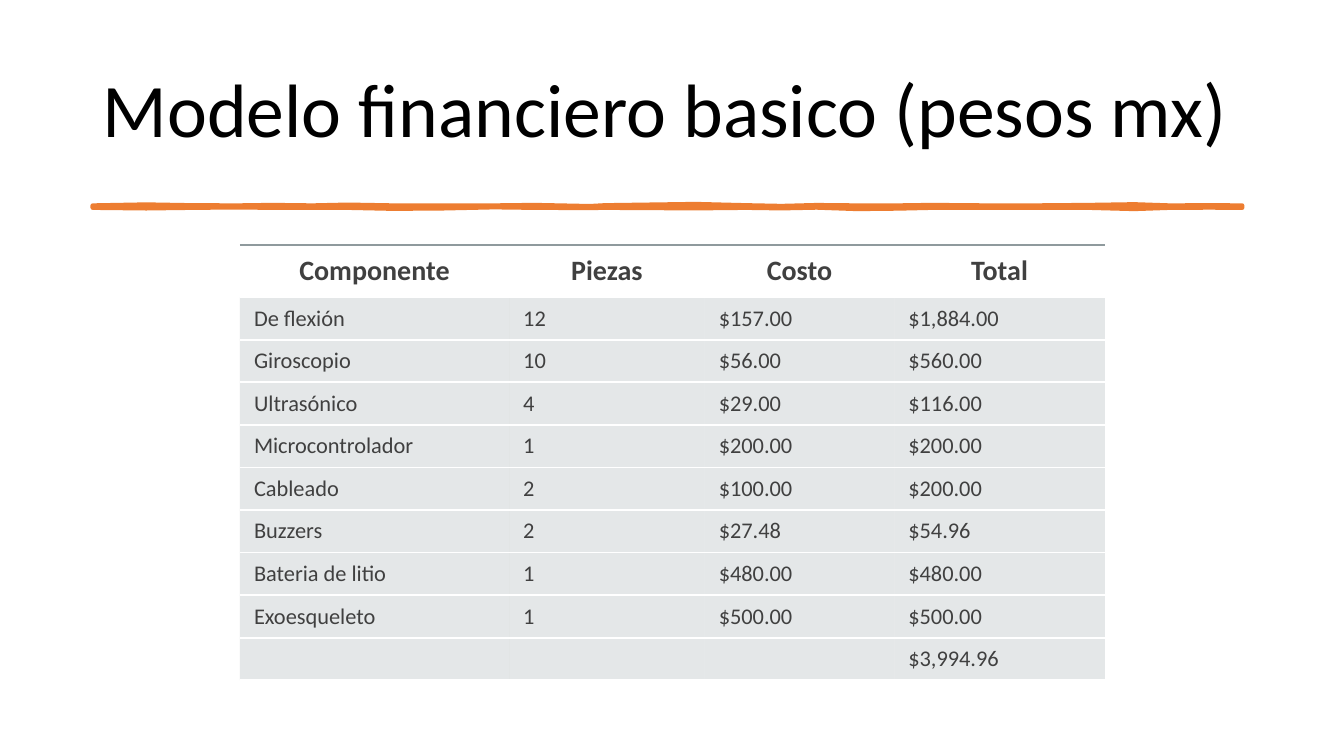
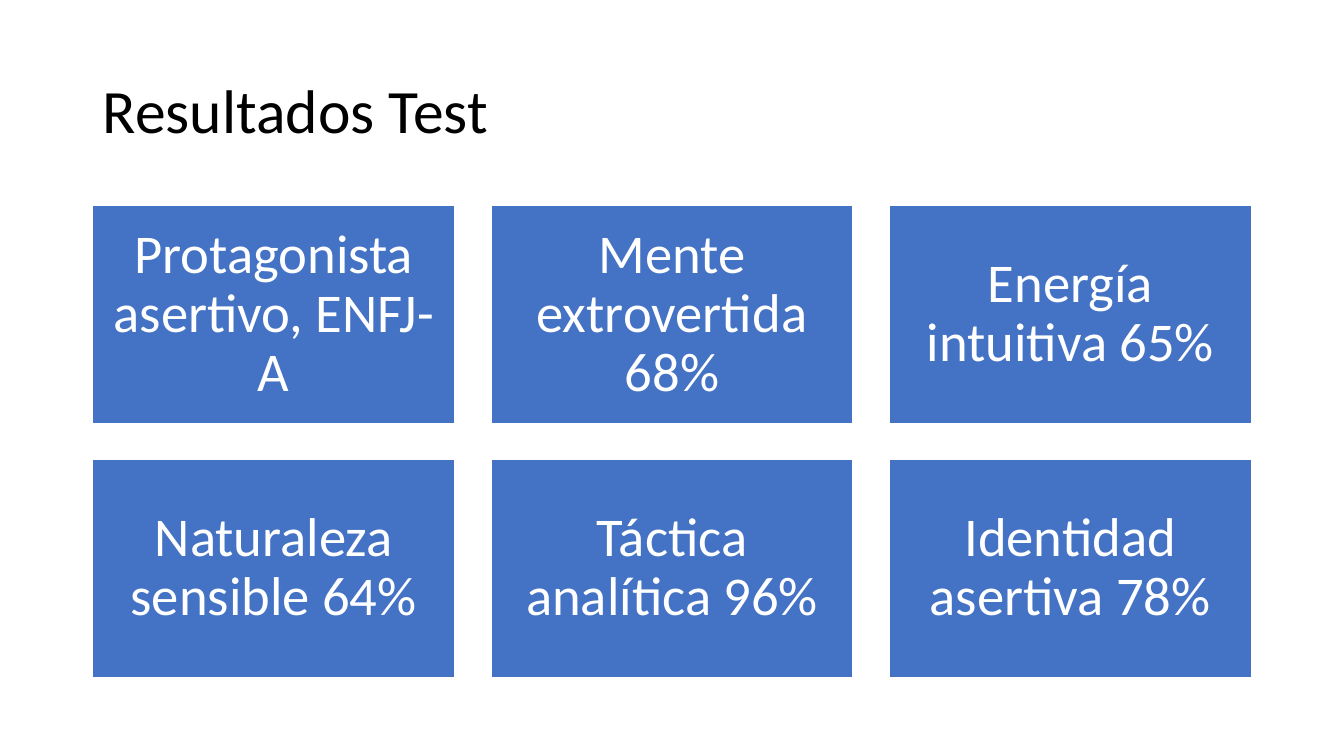
from dataclasses import dataclass
from lxml import etree
from pptx import Presentation
from pptx.dml.color import RGBColor
from pptx.enum.shapes import MSO_SHAPE
from pptx.enum.text import MSO_ANCHOR, MSO_AUTO_SIZE, PP_ALIGN
from pptx.oxml.ns import qn
from pptx.util import Pt

RECT = MSO_SHAPE.RECTANGLE
MID = MSO_ANCHOR.MIDDLE
FIXED = MSO_AUTO_SIZE.NONE
LEFT, MIDDLE = PP_ALIGN.LEFT, PP_ALIGN.CENTER
PX = 9144


@dataclass(frozen=True)
class Theme:
    font: str = "Calibri"
    ink: str = "000000"
    text: str = "404040"
    white: str = "FFFFFF"
    card: str = "4472C4"
    stroke: str = "ED7D31"
    row: str = "B4BCBE"
    edge: str = "8F9A9D"
    large: int = 54
    title: int = 44
    label: int = 39
    head: int = 20
    cell: int = 16


THEME = Theme()

COSTS = {
    "title": "Modelo financiero basico (pesos mx)",
    "rows": [
        ("Componente", "Piezas", "Costo", "Total"),
        ("De flexión", "12", "$157.00", "$1,884.00"),
        ("Giroscopio", "10", "$56.00", "$560.00"),
        ("Ultrasónico", "4", "$29.00", "$116.00"),
        ("Microcontrolador", "1", "$200.00", "$200.00"),
        ("Cableado", "2", "$100.00", "$200.00"),
        ("Buzzers", "2", "$27.48", "$54.96"),
        ("Bateria de litio", "1", "$480.00", "$480.00"),
        ("Exoesqueleto", "1", "$500.00", "$500.00"),
        ("", "", "", "$3,994.96"),
    ],
    "widths": (267, 194, 188, 209),
}

TRAITS = {
    "title": "Resultados Test",
    "cards": [
        "Protagonista asertivo, ENFJ-A",
        "Mente extrovertida 68%",
        "Energía intuitiva 65%",
        "Naturaleza sensible 64%",
        "Táctica analítica 96%",
        "Identidad asertiva 78%",
    ],
}

STROKE = [
    (92, 40, 60), (145, 30, 66), (190, 38, 60), (235, 40, 56), (270, 35, 60),
    (310, 40, 60), (345, 32, 60), (390, 40, 70), (440, 40, 66), (490, 40, 55),
    (530, 35, 60), (585, 46, 62), (600, 38, 60), (690, 25, 65), (740, 38, 60),
    (775, 45, 65), (810, 36, 58), (850, 40, 72), (890, 40, 68), (924, 35, 60),
    (980, 40, 60), (1025, 40, 60), (1080, 35, 60), (1125, 28, 72),
    (1160, 40, 60), (1200, 38, 58), (1232, 40, 60),
]


def px(*vals):
    return [round(v * PX) for v in vals]


def rgb(code):
    return RGBColor.from_string(code)


def style(par, size, color, align, bold=False):
    par.alignment = align
    for run in par.runs:
        font = run.font
        font.name, font.size, font.bold = THEME.font, Pt(size), bold
        font.color.rgb = rgb(color)


def paint(shape, fill, line, width):
    shape.shadow.inherit = False
    shape.fill.solid()
    shape.fill.fore_color.rgb = rgb(fill)
    shape.line.color.rgb = rgb(line)
    shape.line.width = Pt(width)


def add_page(deck, title, size):
    page = deck.slides.add_slide(deck.slide_layouts[5])
    box = page.shapes.title
    box.left, box.top, box.width, box.height = px(92, 40, 1150, 145)
    frame = box.text_frame
    frame.text = title
    frame.auto_size, frame.vertical_anchor = FIXED, MID
    par = frame.paragraphs[0]
    par.line_spacing = 0.9
    style(par, size, THEME.ink, LEFT)
    return page


def add_stroke(page):
    base = 2000
    upper = [(x * 10, base + top) for x, top, low in STROKE]
    lower = [(x * 10, base + low) for x, top, low in reversed(STROKE)]
    path = page.shapes.build_freeform(*upper[0], scale=PX / 10)
    path.add_line_segments(upper[1:] + lower, close=True)
    paint(path.convert_to_shape(), THEME.stroke, THEME.stroke, 3.25)


def set_edges(cell, top, low):
    props = cell._tc.get_or_add_tcPr()
    edges = (("a:lnL", None), ("a:lnR", None), ("a:lnT", top), ("a:lnB", low))
    for spot, (tag, color) in enumerate(edges):
        line = etree.Element(qn(tag), w=str(Pt(1.5)))
        if color:
            fill = etree.SubElement(line, qn("a:solidFill"))
            etree.SubElement(fill, qn("a:srgbClr"), val=color)
        else:
            etree.SubElement(line, qn("a:noFill"))
        props.insert(spot, line)


def fill_cell(cell, text, head):
    cell.text = text
    cell.vertical_anchor = MID
    cell.margin_left, cell.margin_right = px(14, 14 if head else 7)
    cell.margin_top, cell.margin_bottom = px(5, 5)
    if head:
        cell.fill.background()
    else:
        cell.fill.solid()
        cell.fill.fore_color.rgb = rgb(THEME.row)
        tint = cell._tc.tcPr.find(".//" + qn("a:srgbClr"))
        etree.SubElement(tint, qn("a:alpha"), val="35000")
    style(cell.text_frame.paragraphs[0], THEME.head if head else THEME.cell,
          THEME.text, MIDDLE if head else LEFT, head)
    set_edges(cell, THEME.edge if head else THEME.white, THEME.white)


def add_costs(page, rows, widths):
    head, body = 52, 380
    place = px(238, 243, sum(widths), head + body)
    table = page.shapes.add_table(len(rows), len(widths), *place).table
    table.first_row = table.horz_banding = False
    for col, width in zip(table.columns, px(*widths)):
        col.width = width
    for r, row in enumerate(rows):
        table.rows[r].height = px(body / (len(rows) - 1) if r else head)[0]
        for c, text in enumerate(row):
            fill_cell(table.cell(r, c), text, r == 0)


def add_cards(page, cards):
    width, height, gap, cols = 359, 216, 36, 3
    for i, text in enumerate(cards):
        row, col = divmod(i, cols)
        left, top = 92 + col * (width + gap), 204 + row * (height + gap)
        card = page.shapes.add_shape(RECT, *px(left, top, width, height))
        paint(card, THEME.card, THEME.white, 1)
        frame = card.text_frame
        frame.text = text
        frame.word_wrap, frame.vertical_anchor = True, MID
        frame.margin_left, frame.margin_right = px(16, 16)
        frame.margin_top, frame.margin_bottom = px(16, 16)
        par = frame.paragraphs[0]
        par.line_spacing = 0.9
        style(par, THEME.label, THEME.white, MIDDLE)


def main():
    deck = Presentation()
    deck.slide_width, deck.slide_height = px(1333, 750)
    page = add_page(deck, COSTS["title"], THEME.large)
    add_stroke(page)
    add_costs(page, COSTS["rows"], COSTS["widths"])
    page = add_page(deck, TRAITS["title"], THEME.title)
    add_cards(page, TRAITS["cards"])
    deck.save("out.pptx")


if __name__ == "__main__":
    main()
